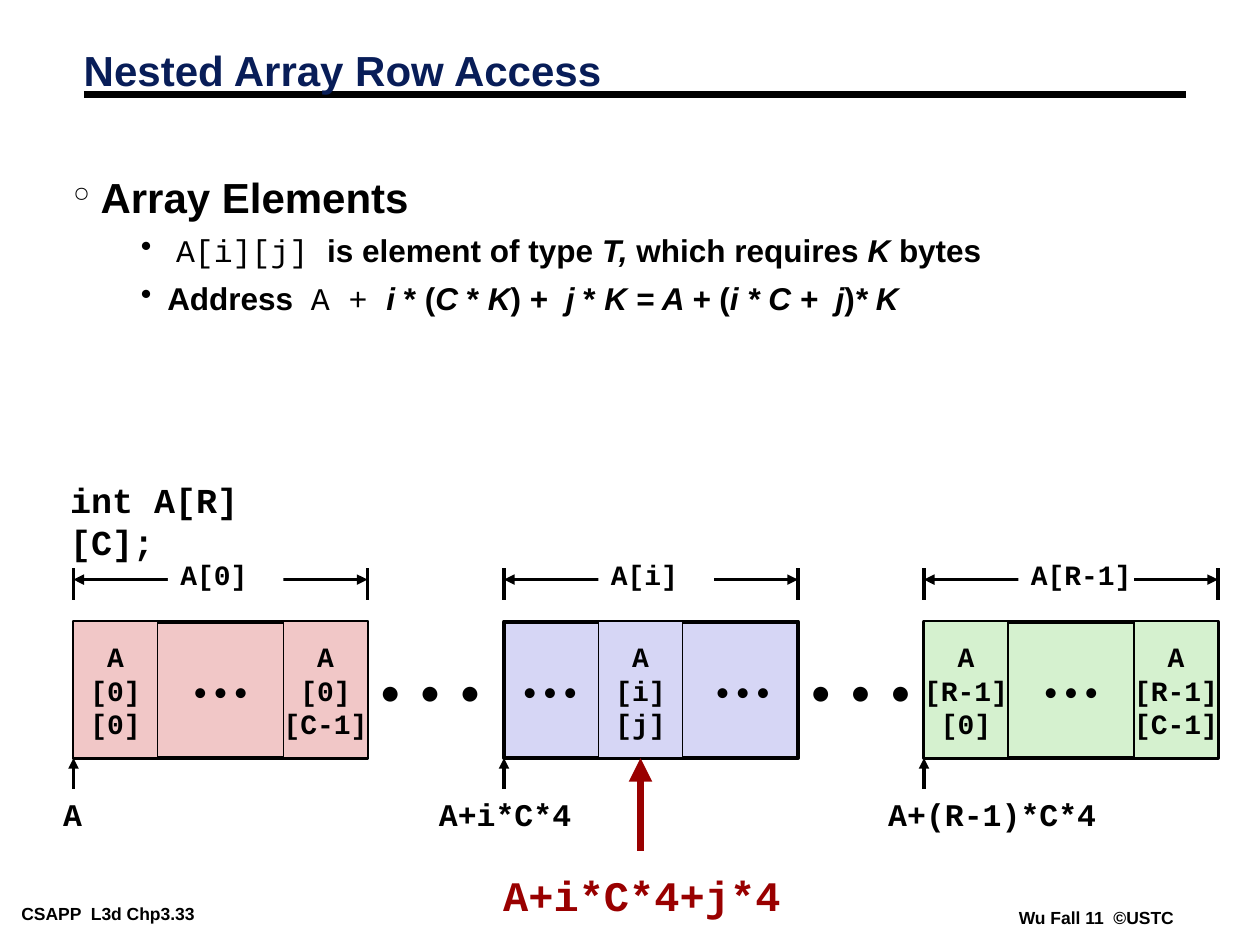
from dataclasses import dataclass

from lxml import etree
from pptx import Presentation
from pptx.dml.color import RGBColor
from pptx.enum.shapes import MSO_CONNECTOR, MSO_SHAPE
from pptx.enum.text import MSO_ANCHOR, PP_ALIGN
from pptx.oxml.ns import qn
from pptx.util import Inches, Pt

RECT = MSO_SHAPE.RECTANGLE
STRAIGHT = MSO_CONNECTOR.STRAIGHT
LEFT, MID = PP_ALIGN.LEFT, PP_ALIGN.CENTER
TOP, CENTER = MSO_ANCHOR.TOP, MSO_ANCHOR.MIDDLE


@dataclass(frozen=True)
class Theme:
    ink: str = "000000"
    paper: str = "FFFFFF"
    navy: str = "081D58"
    red: str = "990000"
    pink: str = "F1C7C7"
    blue: str = "D6D6F5"
    green: str = "D5F1CF"
    sans: str = "Arial"
    mono: str = "Courier New"
    dots: str = "Calibri"
    head: int = 24
    code: int = 20
    body: int = 18
    cell: int = 16
    foot: int = 10


T = Theme()
UNIT = 1 / 12
WIDE, SLIM, TALL = 28, 8, 13
TICK, SPAN, NAME, BAND, FOOT = 54.1, 55.2, 52.2, 59.2, 75.1
DOTS = "•\u00a0•\u00a0•"
GAP = "• \u00a0•\u00a0 •"


def grid(*cells):
    return [Inches(cell * UNIT) for cell in cells]


def add_run(para, text, size, font=T.sans, color=T.ink, bold=True, slant=False):
    run = para.add_run()
    run.text = text
    face = run.font
    face.name, face.size = font, Pt(size)
    face.bold, face.italic = bold, slant
    face.color.rgb = RGBColor.from_string(color)


def set_frame(shape, anchor, wrap, inset=(0.1, 0.05)):
    frame = shape.text_frame
    frame.word_wrap = wrap
    frame.vertical_anchor = anchor
    frame.margin_left = frame.margin_right = Inches(inset[0])
    frame.margin_top = frame.margin_bottom = Inches(inset[1])
    return frame


def add_lines(frame, lines, align, size, **style):
    for index, line in enumerate(lines):
        para = frame.add_paragraph() if index else frame.paragraphs[0]
        para.alignment = align
        add_run(para, line, size, **style)


def add_text(shapes, at, text, size, align=MID, anchor=TOP, wrap=True,
             inset=(0.1, 0.05), **style):
    frame = set_frame(shapes.add_textbox(*grid(*at)), anchor, wrap, inset)
    add_lines(frame, [text], align, size, **style)
    return frame


def add_box(shapes, at, fill, lines, width=0, align=MID, size=T.cell, **style):
    box = shapes.add_shape(RECT, *grid(*at))
    box.shadow.inherit = False
    box.fill.solid()
    box.fill.fore_color.rgb = RGBColor.from_string(fill)
    if width:
        box.line.color.rgb = RGBColor.from_string(T.ink)
        box.line.width = Pt(width)
    else:
        box.line.fill.background()
    frame = set_frame(box, CENTER, False)
    add_lines(frame, lines, align, size, **style)
    return frame


def add_line(shapes, ends, width=2, color=T.ink, tips=()):
    line = shapes.add_connector(STRAIGHT, *grid(*ends))
    line.line.width = Pt(width)
    line.line.color.rgb = RGBColor.from_string(color)
    stroke = line.line._get_or_add_ln()
    for tip in tips:
        etree.SubElement(stroke, qn("a:" + tip), type="triangle")
    etree.SubElement(line._element.spPr, qn("a:effectLst"))


def add_tab(para, inches):
    tabs = etree.SubElement(para._p.get_or_add_pPr(), qn("a:tabLst"))
    etree.SubElement(tabs, qn("a:tab"), pos=str(Inches(inches)), algn="l")


def add_point(para, sign, left, hang, runs, size, gap, space):
    props = para._p.get_or_add_pPr()
    props.set("marL", str(Inches(left)))
    props.set("indent", str(-Inches(hang)))
    etree.SubElement(props, qn("a:buChar"), char=sign)
    para.line_spacing = space
    para.space_before = Pt(gap)
    for text, kind in runs:
        if kind == "code":
            add_run(para, text, size, font=T.mono, bold=False)
        else:
            add_run(para, text, size, slant=kind == "slant")


def add_row(slide, left, name, fill, cells):
    shapes = slide.shapes.add_group_shape().shapes
    split = [col for col, _ in cells] == [9]
    text = f"{DOTS}\t{DOTS}" if split else DOTS
    frame = add_box(shapes, (left, BAND, WIDE, TALL), fill, [text], 2.25,
                    align=LEFT if split else MID, font=T.dots, bold=False)
    if split:
        frame.word_wrap = True
        frame.margin_left = Inches(0.15)
        add_tab(frame.paragraphs[0], 1.53)
    for col, marks in cells:
        add_box(shapes, (left + col, BAND, SLIM, TALL), fill, ["A", *marks], 1,
                font=T.mono)
    for edge in (left, left + WIDE):
        add_line(shapes, (edge, TICK, edge, TICK + 3))
    add_line(shapes, (left, SPAN, left + WIDE, SPAN), tips=("headEnd", "tailEnd"))
    add_box(shapes, (left + 9, NAME, 11, 5), T.paper, [name], align=LEFT,
            font=T.mono)


def add_notes(slide):
    box = slide.shapes.add_textbox(*grid(5.75, 16.9, 102.25, 19.1))
    frame = set_frame(box, TOP, True)
    add_point(frame.paragraphs[0], "°", 0.22, 0.22, [("Array Elements", "")],
              T.head, 0, 0.75)
    points = [
        [(" ", ""), ("A[i][j] ", "code"), ("is element of type ", ""),
         ("T, ", "slant"), ("which requires ", ""), ("K", "slant"),
         (" bytes", "")],
        [("Address  ", ""), ("A + ", "code"), ("i ", "slant"), ("* (", ""),
         ("C ", "slant"), ("* ", ""), ("K", "slant"), (") +  ", ""),
         ("j", "slant"), (" * ", ""), ("K = A + ", "slant"), ("(", ""),
         ("i * C +  j", "slant"), (")", ""), ("* K", "slant")],
    ]
    for runs in points:
        add_point(frame.add_paragraph(), "•", 0.75, 0.21, runs, T.body, 9, 0.85)


def add_frame(slide):
    shapes = slide.shapes
    for at, text in [((1.2, 85.6, 24.4, 2.6), "CSAPP  L3d Chp3.33"),
                     ((96.2, 86, 16.6, 2.6), "Wu Fall 11  ©USTC")]:
        add_text(shapes, at, text, T.foot, LEFT, wrap=False, inset=(0.07, 0.03))
    add_line(shapes, (8, 9, 113, 9), 4.5)
    title = add_text(shapes, (6.8, 4.3, 91, 5.4), "Nested Array Row Access",
                     T.head, LEFT, CENTER, color=T.navy)
    title.paragraphs[0].line_spacing = 0.87


def main():
    deck = Presentation()
    deck.slide_width, deck.slide_height = grid(120, 90)
    slide = deck.slides.add_slide(deck.slide_layouts[6])
    shapes = slide.shapes
    add_frame(slide)
    add_notes(slide)
    add_text(shapes, (5.5, 45, 26.4, 5.3), "int A[R][C];", T.code, LEFT,
             wrap=False, font=T.mono)
    for left in (35, 76):
        add_box(shapes, (left, BAND, TALL, TALL), T.paper, [GAP], align=LEFT,
                size=T.head, font=T.dots, bold=False)
    rows = [
        (7, "A[0]", T.pink, [(0, ("[0]", "[0]")), (20, ("[0]", "[C-1]"))],
         "A", 6.9, 5.2),
        (48, "A[i]", T.blue, [(9, ("[i]", "[j]"))], "A+i*C*4", 48.1, 19),
        (88, "A[R-1]", T.green,
         [(0, ("[R-1]", "[0]")), (20, ("[R-1]", "[C-1]"))],
         "A+(R-1)*C*4", 94.5, 23),
    ]
    base = BAND + TALL
    for left, name, fill, cells, label, mid, width in rows:
        add_row(slide, left, name, fill, cells)
        add_line(shapes, (left, FOOT, left, base), tips=("tailEnd",))
        add_text(shapes, (mid - width / 2, FOOT, width, 4.8), label, T.body,
                 font=T.mono)
    add_line(shapes, (61, 81, 61, base), 4.5, T.red, ("tailEnd",))
    add_text(shapes, (44.25, 82.2, 33.75, 6), "A+i*C*4+j*4", T.head,
             font=T.mono, color=T.red)
    deck.save("out.pptx")


if __name__ == "__main__":
    main()
